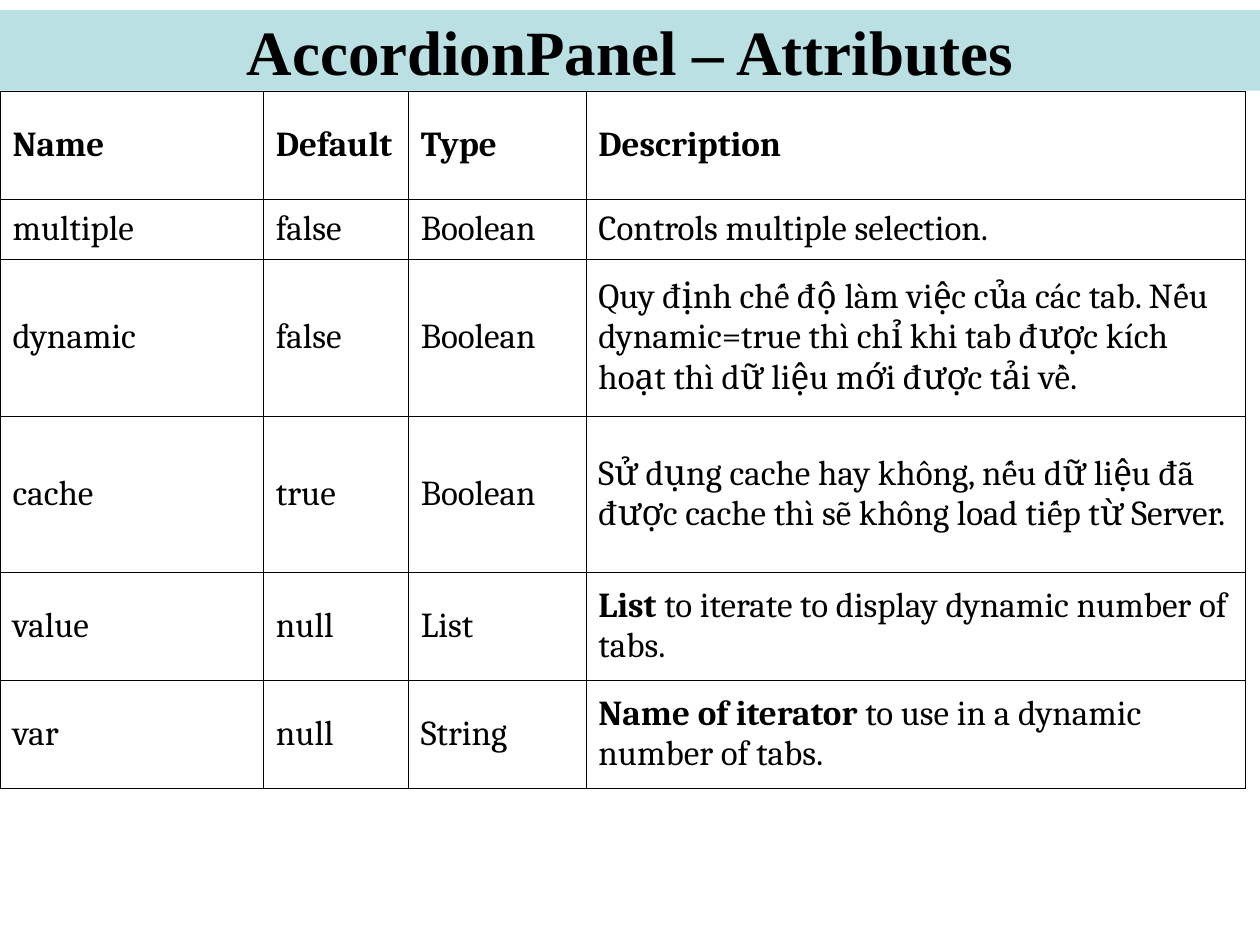
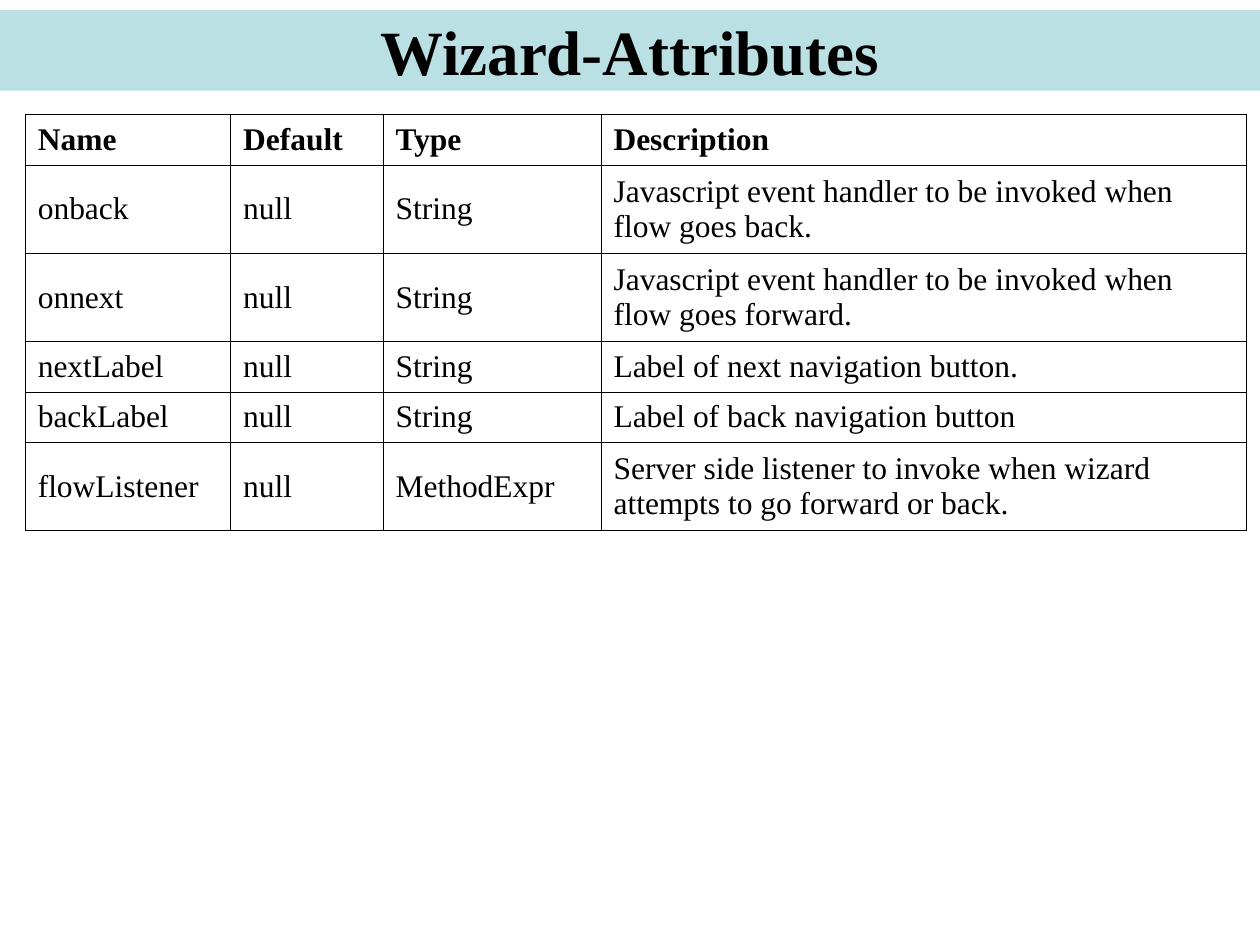
from lxml.etree import SubElement
from pptx import Presentation
from pptx.dml.color import RGBColor
from pptx.enum.shapes import MSO_SHAPE
from pptx.enum.text import MSO_ANCHOR, PP_ALIGN
from pptx.oxml.ns import qn
from pptx.util import Inches, Pt

COLORS = {"band": "BBE0E3", "text": "000000", "border": "000000"}
TITLE_FONT = "Times New Roman"
BORDER_WIDTH = Pt(0.23)
HEADER = ("Name", "Default", "Type", "Description")

# A row is its height and its cells; a (lead, rest) cell has a bold lead.
SLIDES = [
    {
        "title": "AccordionPanel – Attributes",
        "font": "Cambria",
        "size": 20,
        "at": (0, 0.72),
        "cols": (2.09, 1.15, 1.41, 5.23),
        "rows": [
            (0.86, HEADER),
            (0.48, ("multiple", "false", "Boolean", "Controls multiple selection.")),
            (1.24, ("dynamic", "false", "Boolean",
                    "Quy định chế độ làm việc của các tab. Nếu dynamic=true thì chỉ "
                    "khi tab được kích hoạt thì dữ liệu mới được tải về.")),
            (1.24, ("cache", "true", "Boolean",
                    "Sử dụng cache hay không, nếu dữ liệu đã được cache thì sẽ "
                    "không load tiếp từ Server.")),
            (0.86, ("value", "null", "List",
                    ("List", " to iterate to display dynamic number of tabs."))),
            (0.86, ("var", "null", "String",
                    ("Name of iterator ", "to use in a dynamic number of tabs."))),
        ],
    },
    {
        "title": "Wizard-Attributes",
        "font": "Times New Roman",
        "size": 18,
        "at": (0.2, 0.91),
        "cols": (1.63, 1.21, 1.73, 5.12),
        "rows": [
            (0.4, HEADER),
            (0.7, ("onback", "null", "String",
                   "Javascript event handler to be invoked when flow goes back.")),
            (0.7, ("onnext", "null", "String",
                   "Javascript event handler to be invoked when flow goes forward.")),
            (0.4, ("nextLabel", "null", "String", "Label of next navigation button.")),
            (0.4, ("backLabel", "null", "String", "Label of back navigation button")),
            (0.7, ("flowListener", "null", "MethodExpr",
                   "Server side listener to invoke when wizard attempts to go "
                   "forward or back.")),
        ],
    },
]


def color(name):
    return RGBColor.from_string(COLORS[name])


def add_run(p, text, font, size, bold):
    r = p.add_run()
    r.text = text
    r.font.name = font
    r.font.size = Pt(size)
    r.font.bold = bold
    r.font.color.rgb = color("text")


def add_title(s, text, width):
    sp = s.shapes.add_shape(MSO_SHAPE.RECTANGLE, 0, Inches(0.08), width, Inches(0.64))
    sp.shadow.inherit = False
    sp.fill.solid()
    sp.fill.fore_color.rgb = color("band")
    sp.line.fill.background()
    tf = sp.text_frame
    tf.word_wrap = True
    tf.vertical_anchor = MSO_ANCHOR.MIDDLE
    p = tf.paragraphs[0]
    p.alignment = PP_ALIGN.CENTER
    add_run(p, text, TITLE_FONT, 36, True)


def set_borders(cell):
    tc_pr = cell._tc.get_or_add_tcPr()
    for side in ("a:lnL", "a:lnR", "a:lnT", "a:lnB"):
        ln = SubElement(tc_pr, qn(side), w=str(int(BORDER_WIDTH)))
        fill = SubElement(ln, qn("a:solidFill"))
        SubElement(fill, qn("a:srgbClr"), val=COLORS["border"])


def fill_cell(cell, content, font, size, is_header):
    set_borders(cell)
    cell.fill.background()
    cell.vertical_anchor = MSO_ANCHOR.MIDDLE
    p = cell.text_frame.paragraphs[0]
    if isinstance(content, tuple):
        lead, rest = content
        add_run(p, lead, font, size, True)
        add_run(p, rest, font, size, False)
    else:
        add_run(p, content, font, size, is_header)


def add_attribute_table(s, data):
    cols, rows = data["cols"], data["rows"]
    left, top = data["at"]
    height = sum(row_height for row_height, _ in rows)
    table = s.shapes.add_table(len(rows), len(cols), Inches(left), Inches(top),
                               Inches(sum(cols)), Inches(height)).table
    table.first_row = table.horz_banding = False
    for column, width in zip(table.columns, cols):
        column.width = Inches(width)
    for i, (row_height, contents) in enumerate(rows):
        table.rows[i].height = Inches(row_height)
        for j, content in enumerate(contents):
            fill_cell(table.cell(i, j), content, data["font"], data["size"], i == 0)


def main():
    prs = Presentation()
    prs.slide_width, prs.slide_height = Inches(10), Inches(7.5)
    for data in SLIDES:
        s = prs.slides.add_slide(prs.slide_layouts[6])
        add_title(s, data["title"], prs.slide_width)
        add_attribute_table(s, data)
    prs.save("out.pptx")


if __name__ == "__main__":
    main()
